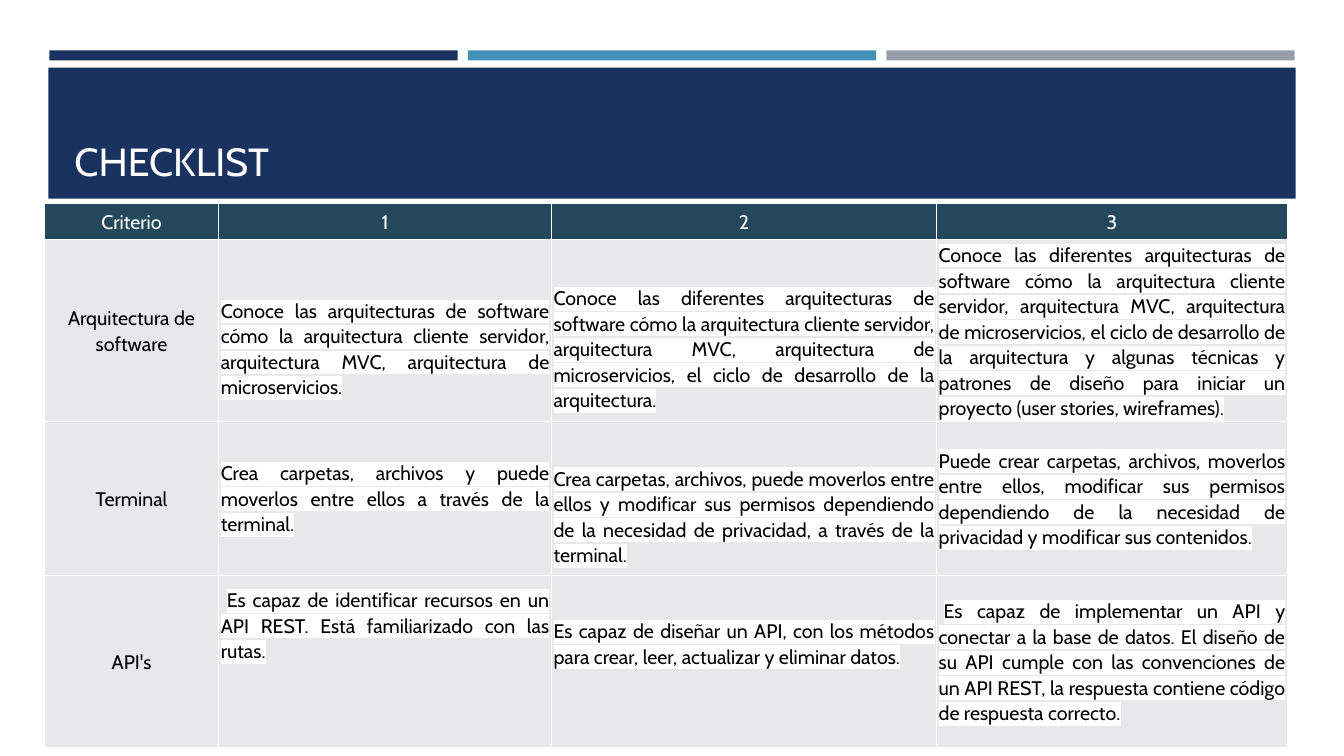
import pptx
import pptx.util
import pptx.dml.color
import pptx.enum.shapes
import pptx.enum.text
import pptx.oxml.ns
import lxml.etree

Inches = pptx.util.Inches
Pt = pptx.util.Pt
RGBColor = pptx.dml.color.RGBColor
ALIGN = pptx.enum.text.PP_ALIGN
ANCHOR = pptx.enum.text.MSO_ANCHOR

NAVY = RGBColor(0x1A, 0x32, 0x60)
BLUE = RGBColor(0x45, 0x90, 0xB8)
GREY = RGBColor(0x96, 0x9F, 0xA7)
TEAL = RGBColor(0x23, 0x48, 0x5C)
PALE = RGBColor(0xE8, 0xE8, 0xEA)
WHITE = RGBColor(0xFF, 0xFF, 0xFF)
BLACK = RGBColor(0, 0, 0)

BLANK = 0.36
COLS = [1.73, 3.3, 3.82, 3.48]
ROWS = [0.36, 1.8, 1.53, 1.71]
HEADS = ["Criterio", "1", "2", "3"]
BODY = [
    ("Arquitectura de software", [
        ("Conoce las arquitecturas de software cómo la arquitectura cliente servidor, "
         "arquitectura MVC, arquitectura de microservicios.", 1, 0, 0),
        ("Conoce las diferentes arquitecturas de software cómo la arquitectura cliente "
         "servidor, arquitectura MVC, arquitectura de microservicios, el ciclo de "
         "desarrollo de la arquitectura.", 1, 0, 0),
        ("Conoce las diferentes arquitecturas de software cómo la arquitectura cliente "
         "servidor, arquitectura MVC, arquitectura de microservicios, el ciclo de "
         "desarrollo de la arquitectura y algunas técnicas y patrones de diseño para "
         "iniciar un proyecto (user stories, wireframes).", 0, 0, 0),
    ]),
    ("Terminal", [
        ("Crea carpetas, archivos y puede moverlos entre ellos a través de la terminal.",
         1, 1, 0),
        ("Crea carpetas, archivos, puede moverlos entre ellos y modificar sus permisos "
         "dependiendo de la necesidad de privacidad, a través de la terminal.", 1, 0, 0),
        ("Puede crear carpetas, archivos, moverlos entre ellos, modificar sus permisos "
         "dependiendo de la necesidad de privacidad y modificar sus contenidos.", 0, 0, 0),
    ]),
    ("API's", [
        ("Es capaz de identificar recursos en un API REST. Está familiarizado con las "
         "rutas.", 0, 2, 0.06),
        ("Es capaz de diseñar un API, con los métodos para crear, leer, actualizar y "
         "eliminar datos.", 0, 1, 0),
        ("Es capaz de implementar un API y conectar a la base de datos. El diseño de su "
         "API cumple con las convenciones de un API REST, la respuesta contiene código "
         "de respuesta correcto.", 0, 0, 0.05),
    ]),
]


def put(item, form):
    for key, value in form.items():
        setattr(item, key, value)


def add(parent, tag, **attrs):
    return lxml.etree.SubElement(parent, pptx.oxml.ns.qn(tag), attrs)


class Deck:
    """Holds the style and the current slide, and draws each kind of element."""

    def __init__(self):
        self.file = pptx.Presentation()
        put(self.file, {"slide_width": Inches(13.33), "slide_height": Inches(7.5)})
        self.slide = self.file.slides.add_slide(self.file.slide_layouts[6])
        self.para = {"line_spacing": 1.07, "space_after": Pt(8)}

    def bar(self, box, fill):
        kind = pptx.enum.shapes.MSO_SHAPE.RECTANGLE
        shape = self.slide.shapes.add_shape(kind, *map(Inches, box))
        shape.shadow.inherit = False
        shape.fill.solid()
        shape.fill.fore_color.rgb = fill
        shape.line.fill.background()

    def label(self, para, text, size, ink, mark=None):
        run = para.add_run()
        run.text = text
        run.font.color.rgb = ink
        if mark is not None:
            light = add(run.font._element, "a:highlight")
            add(light, "a:srgbClr", val=str(mark))
        put(run.font, {"name": "Cabin", "size": Pt(size)})

    def title(self, box, text):
        frame = self.slide.shapes.add_textbox(*map(Inches, box)).text_frame
        put(frame, {"word_wrap": True, "vertical_anchor": ANCHOR.BOTTOM})
        self.label(frame.paragraphs[0], text, 28, WHITE)

    def table(self, box, cols, rows):
        size = len(rows), len(cols)
        table = self.slide.shapes.add_table(*size, *map(Inches, box)).table
        for col, width in zip(table.columns, cols):
            col.width = Inches(width)
        for row, height in zip(table.rows, rows):
            row.height = Inches(height)
        return table

    def cell(self, cell, text, fill, ink, align=ALIGN.CENTER, anchor=ANCHOR.MIDDLE,
             pad=0.05, above=0, below=0, indent=0, mark=None):
        put(cell, {"margin_left": Inches(pad), "margin_right": Inches(pad),
                   "margin_top": Inches(pad + above * BLANK),
                   "margin_bottom": Inches(pad + below * BLANK),
                   "vertical_anchor": anchor})
        para = cell.text_frame.paragraphs[0]
        put(para, {**self.para, "alignment": align})
        if indent:
            para._p.get_or_add_pPr().set("indent", str(Inches(indent)))
        self.label(para, text, 14, ink, mark)
        props = cell._tc.get_or_add_tcPr()
        for side in ("a:lnL", "a:lnR", "a:lnT", "a:lnB"):
            line = add(props, side, w=str(Pt(1)))
            add(add(line, "a:solidFill"), "a:srgbClr", val=str(WHITE))
        cell.fill.solid()
        cell.fill.fore_color.rgb = fill


def main():
    deck = Deck()
    for i, fill in enumerate([NAVY, BLUE, GREY]):
        deck.bar((0.49 + 4.15 * i, 0.5, 4.05, 0.1), fill)
    deck.bar((0.48, 0.67, 12.37, 1.3), NAVY)
    deck.title((0.64, 0.77, 12.06, 1.11), "CHECKLIST")
    table = deck.table((0.44, 2.02, sum(COLS), sum(ROWS)), COLS, ROWS)
    for c, head in enumerate(HEADS):
        deck.cell(table.cell(0, c), head, TEAL, WHITE, anchor=ANCHOR.TOP)
    for r, (name, levels) in enumerate(BODY, 1):
        deck.cell(table.cell(r, 0), name, PALE, BLACK)
        for c, (text, above, below, indent) in enumerate(levels, 1):
            deck.cell(table.cell(r, c), text, PALE, BLACK, align=ALIGN.JUSTIFY, pad=0.02,
                      above=above, below=below, indent=indent, mark=WHITE)
    deck.file.save("out.pptx")


if __name__ == "__main__":
    main()
